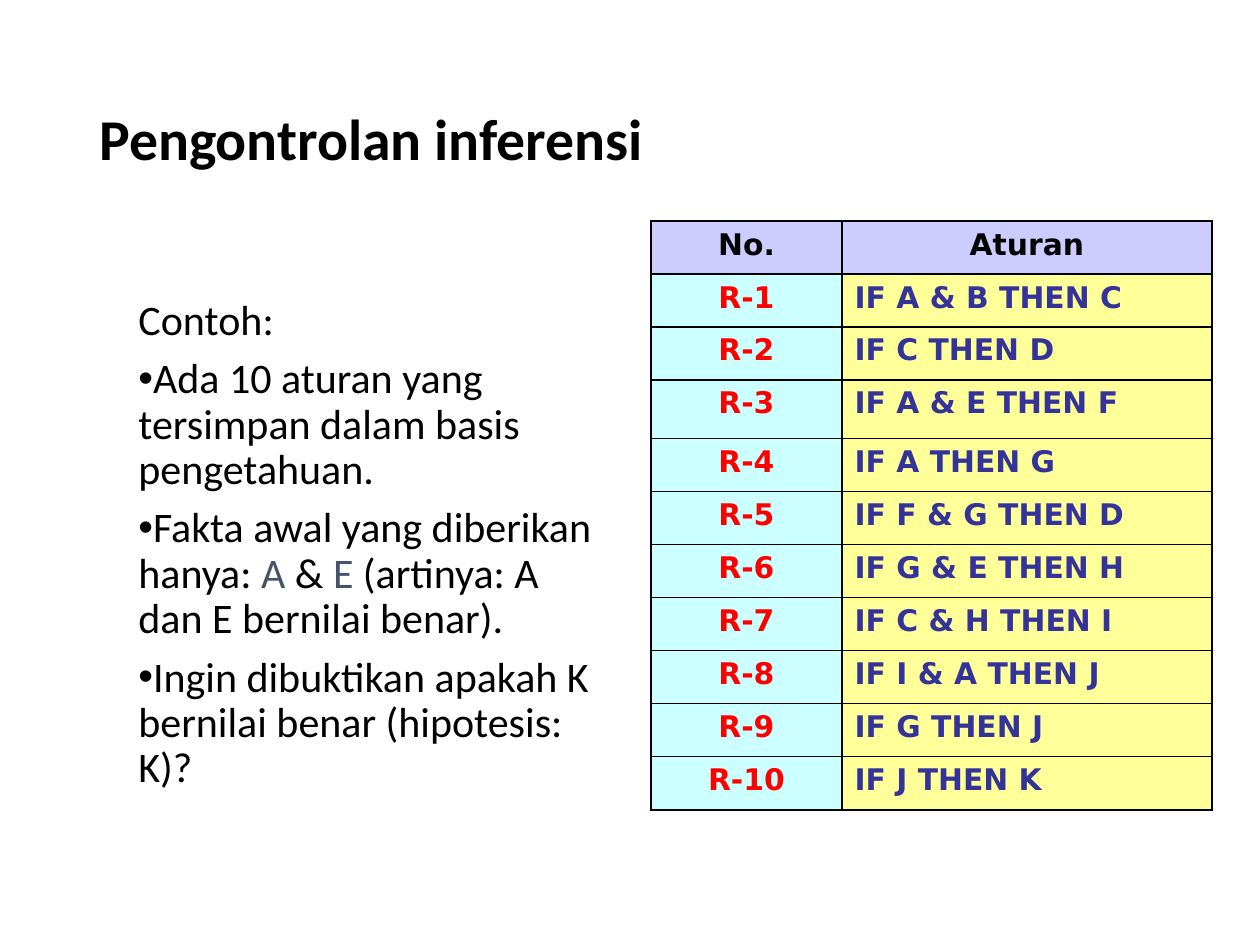
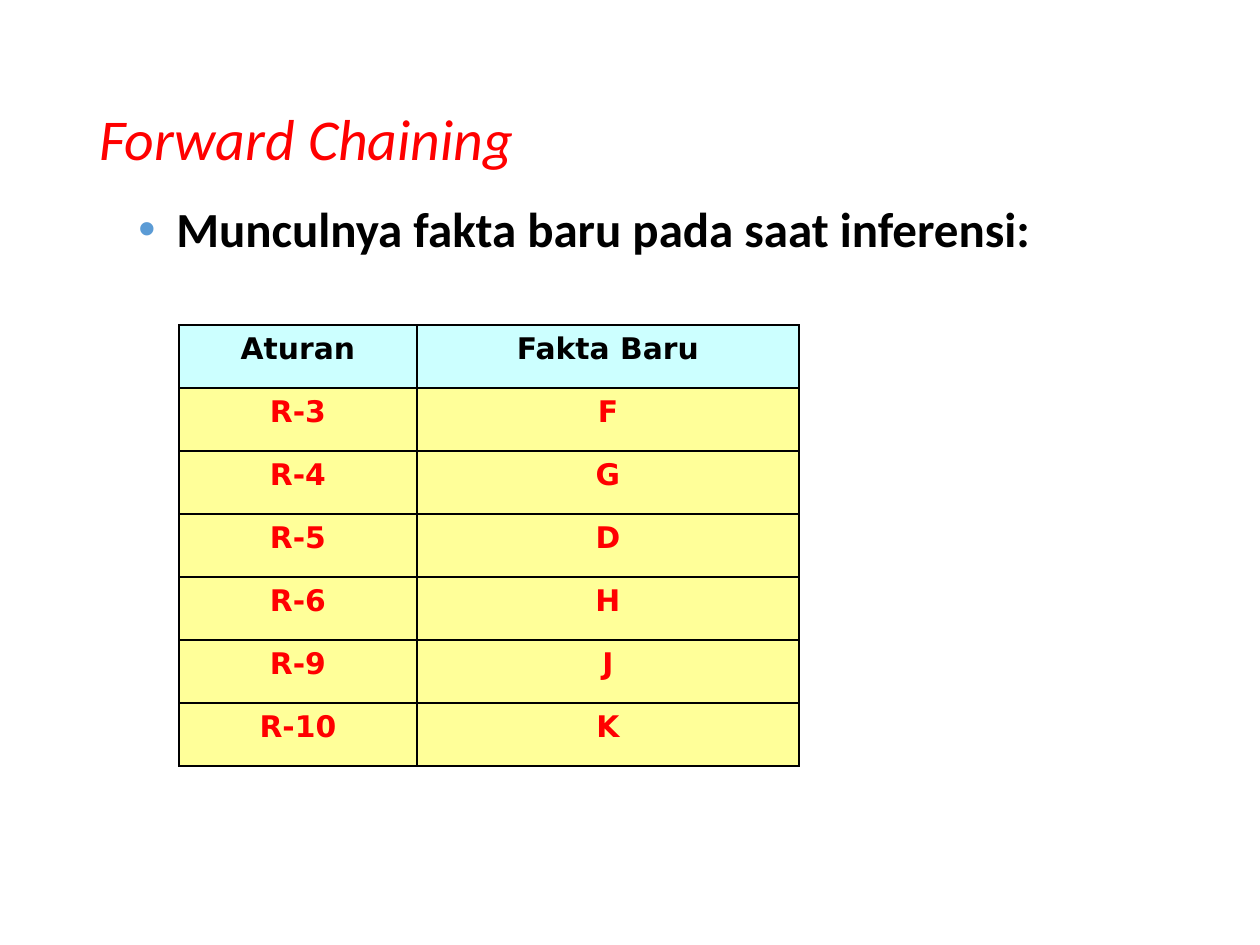
from lxml import etree
from pptx import Presentation
from pptx import util as u
from pptx.dml.color import RGBColor
from pptx.enum import text
from pptx.oxml import ns

EMU_PER_PX = 914400 / 126
BLACK, RED, NAVY, SLATE, BLUE = "000000", "FF0000", "333399", "44546A", "5B9BD5"
LAVENDER, CYAN, YELLOW = "CCCCFF", "CCFFFF", "FFFF99"
CENTER, LEFT = text.PP_ALIGN.CENTER, text.PP_ALIGN.LEFT
TITLE_BOX = (87, 50, 1086, 183)
CELL_INDENT = 48
CELL_TABS = (74, 397, 446)
CELL_FONT = {"name": "DejaVu Sans", "size": u.Pt(17), "bold": True}


def px(length):
    return u.Emu(round(length * EMU_PER_PX))


def color(value):
    return RGBColor.from_string(value)


def apply(target, values):
    for name, value in values.items():
        setattr(target, name, value)


def add_xml(parent, tag, **attributes):
    values = {name: str(value) for name, value in attributes.items()}
    return etree.SubElement(parent, ns.qn(tag), values)


def add_run(paragraph, words, font, fill):
    run = paragraph.add_run()
    run.text = words
    apply(run.font, font)
    run.font.color.rgb = color(fill)


def set_indent(paragraph, indent):
    properties = paragraph._p.get_or_add_pPr()
    properties.set("marL", str(px(indent)))
    properties.set("indent", str(-px(indent)))
    return properties


def add_bullet(paragraph, indent=0, fill=BLACK):
    properties = set_indent(paragraph, indent)
    add_xml(add_xml(properties, "a:buClr"), "a:srgbClr", val=fill)
    add_xml(properties, "a:buFont", typeface="Arial")
    add_xml(properties, "a:buChar", char="•")


def add_text_frame(slide, box, anchor):
    frame = slide.shapes.add_textbox(*map(px, box)).text_frame
    apply(frame, {"word_wrap": True, "vertical_anchor": anchor})
    return frame


def add_title(slide, words, fill, **style):
    frame = add_text_frame(slide, TITLE_BOX, text.MSO_ANCHOR.MIDDLE)
    paragraph = frame.paragraphs[0]
    paragraph.line_spacing = 0.9
    add_run(paragraph, words, {"name": "Calibri", "size": u.Pt(33), **style}, fill)


def add_body(slide, box, anchor, paragraphs, size, bold=False):
    frame = add_text_frame(slide, box, anchor)
    font = {"name": "Calibri", "size": u.Pt(size), "bold": bold}
    for index, (bullet, runs) in enumerate(paragraphs):
        paragraph = frame.add_paragraph() if index else frame.paragraphs[0]
        if bullet is not None:
            add_bullet(paragraph, **bullet)
        spacing = u.Pt(7.5 if index else 0)
        apply(paragraph, {"line_spacing": 0.9, "space_before": spacing})
        for words, fill in runs:
            add_run(paragraph, words, font, fill)


def add_borders(cell, widths):
    properties = cell._tc.get_or_add_tcPr()
    for index, (side, width) in enumerate(zip("LRTB", widths)):
        line = add_xml(properties, f"a:ln{side}", w=u.Pt(width))
        add_xml(add_xml(line, "a:solidFill"), "a:srgbClr", val=BLACK)
        properties.insert(index, line)


def fill_cell(cell, words, fill, font_fill, alignment):
    cell.fill.solid()
    cell.fill.fore_color.rgb = color(fill)
    paragraph = cell.text_frame.paragraphs[0]
    tabs = add_xml(set_indent(paragraph, CELL_INDENT), "a:tabLst")
    for position in CELL_TABS:
        add_xml(tabs, "a:tab", pos=px(position), algn="l")
    paragraph.alignment = alignment
    add_run(paragraph, words, CELL_FONT, font_fill)


def add_rule_table(slide, corner, widths, heights, rows, header_fill, columns):
    size = (sum(widths), sum(heights))
    frame = slide.shapes.add_table(len(rows), len(widths), *map(px, corner + size))
    table = frame.table
    apply(table, {"first_row": False, "horz_banding": False})
    for column, width in zip(table.columns, widths):
        column.width = px(width)
    last = len(rows) - 1
    for row_index, (values, height) in enumerate(zip(rows, heights)):
        table.rows[row_index].height = px(height)
        top = 1 if row_index <= 1 else 0.75
        bottom = 1 if row_index in (0, last) else 0.75
        for column_index, words in enumerate(values):
            cell = table.cell(row_index, column_index)
            style = columns[column_index] if row_index else (header_fill, BLACK, CENTER)
            fill_cell(cell, words, *style)
            add_borders(cell, (1, 1, top, bottom))


def build_inference_control(slide):
    add_title(slide, "Pengontrolan inferensi", BLACK, bold=True)
    facts = [
        ("Fakta awal yang diberikan hanya: ", BLACK),
        ("A", SLATE),
        (" & ", BLACK),
        ("E", SLATE),
        (" (artinya: A dan E bernilai benar).", BLACK),
    ]
    paragraphs = [
        (None, [("Contoh:", BLACK)]),
        ({}, [("Ada 10 aturan yang tersimpan dalam basis pengetahuan.", BLACK)]),
        ({}, facts),
        ({}, [("Ingin dibuktikan apakah K bernilai benar (hipotesis: K)?", BLACK)]),
    ]
    add_body(slide, (126, 199, 483, 599), text.MSO_ANCHOR.BOTTOM, paragraphs, 24)
    rules = [
        "A & B THEN C", "C THEN D", "A & E THEN F", "A THEN G", "F & G THEN D",
        "G & E THEN H", "C & H THEN I", "I & A THEN J", "G THEN J", "J THEN K",
    ]
    rows = [("No.", "Aturan")]
    rows += [(f"R-{number}", f"IF {rule}") for number, rule in enumerate(rules, 1)]
    heights = [53] * 3 + [59] + [53] * 7
    columns = [(CYAN, RED, CENTER), (YELLOW, NAVY, LEFT)]
    add_rule_table(slide, (651, 221), (191, 370), heights, rows, LAVENDER, columns)


def build_forward_chaining(slide):
    add_title(slide, "Forward Chaining", RED, italic=True)
    bullet = {"indent": 38, "fill": BLUE}
    paragraphs = [(bullet, [("Munculnya fakta baru pada saat inferensi:", BLACK)])]
    add_body(slide, (126, 199, 1071, 84), text.MSO_ANCHOR.TOP, paragraphs, 28, True)
    rows = [
        ("Aturan", "Fakta Baru"),
        ("R-3", "F"),
        ("R-4", "G"),
        ("R-5", "D"),
        ("R-6", "H"),
        ("R-9", "J"),
        ("R-10", "K"),
    ]
    columns = [(YELLOW, RED, CENTER)] * 2
    add_rule_table(slide, (179, 325), (238, 382), [63] * 7, rows, CYAN, columns)


def main():
    presentation = Presentation()
    apply(presentation, {"slide_width": px(1260), "slide_height": px(945)})
    blank = presentation.slide_layouts[6]
    for build in (build_inference_control, build_forward_chaining):
        build(presentation.slides.add_slide(blank))
    presentation.save("out.pptx")


if __name__ == "__main__":
    main()
